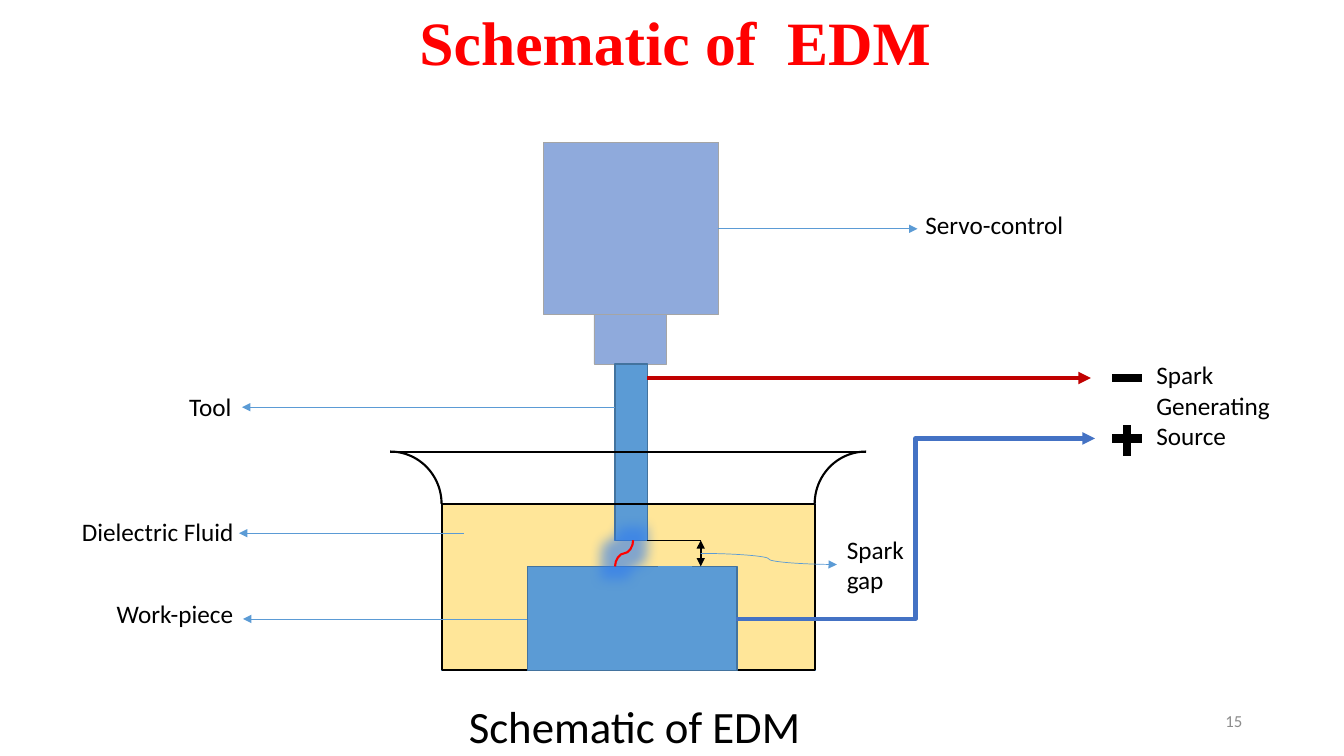
from dataclasses import dataclass

from lxml import etree
from pptx import Presentation
from pptx import util as u
from pptx.dml.color import RGBColor
from pptx.enum import shapes, text
from pptx.oxml import ns

KIND = shapes.MSO_SHAPE
LINK = shapes.MSO_CONNECTOR
ALIGN = text.PP_ALIGN


@dataclass(frozen=True)
class Theme:
    black: str = "000000"
    red: str = "FF0000"
    dark: str = "C00000"
    grey: str = "8C8C8C"
    edge: str = "A5A5A5"
    motor: str = "8FAADC"
    steel: str = "5B9BD5"
    rim: str = "43739E"
    fluid: str = "FFE699"
    wire: str = "4472C4"
    glow: str = "2F7BF0"
    sans: str = "Calibri"
    serif: str = "Times New Roman"
    head: int = 44
    foot: int = 32
    body: int = 18
    note: int = 12


T = Theme()


def rgb(code):
    return RGBColor.from_string(code)


def sub(node, tag, **attrs):
    return etree.SubElement(node, ns.qn(tag), **attrs)


def box(page, *at):
    return [u.Inches(v) for v in at]


def write(page, words, at, size=T.body, font=T.sans, color=T.black,
          bold=False, align=ALIGN.LEFT, mid=False, gap=None):
    """Add a text box at (left, top, width, height)."""
    frame = page.add_textbox(*box(page, *at)).text_frame
    frame.word_wrap = True
    if mid:
        frame.vertical_anchor = text.MSO_ANCHOR.MIDDLE
    para = frame.paragraphs[0]
    para.alignment = align
    if gap:
        para.line_spacing = gap
    run = para.add_run()
    run.text = words
    run.font.size, run.font.name, run.font.bold = u.Pt(size), font, bold
    run.font.color.rgb = rgb(color)


def block(page, at, fill, edge, width=1):
    item = page.add_shape(KIND.RECTANGLE, *box(page, *at))
    item.shadow.inherit = False
    item.fill.solid()
    item.fill.fore_color.rgb = rgb(fill)
    item.line.color.rgb = rgb(edge)
    item.line.width = u.Pt(width)


def lip(page, left, flip=False):
    """Add one curved lip of the tank."""
    item = page.add_shape(KIND.ARC, *box(page, left, 4.48, 1.02, 1.04))
    item.shadow.inherit = False
    item.fill.background()
    item.line.color.rgb = rgb(T.black)
    item.line.width = u.Pt(1.5)
    if flip:
        item._element.spPr.xfrm.set("flipH", "1")


def line(page, start, end, color=T.black, width=1.5, kind=LINK.STRAIGHT,
         head=False, tail=False, turn=0, glow=None):
    item = page.add_connector(kind, *box(page, *start, *end))
    item.line.color.rgb = rgb(color)
    item.line.width = u.Pt(width)
    prop = item._element.spPr
    stroke = prop.find(ns.qn("a:ln"))
    for tag, show in (("a:headEnd", head), ("a:tailEnd", tail)):
        if show:
            sub(stroke, tag, type="triangle")
    if turn:
        prop.xfrm.set("rot", str(turn * 60000))
    effect = sub(prop, "a:effectLst")
    if glow:
        halo = sub(effect, "a:glow", rad=str(u.Pt(18)))
        sub(sub(halo, "a:srgbClr", val=glow), "a:alpha", val="60000")


def main():
    deck = Presentation()
    deck.slide_width, deck.slide_height = u.Inches(13.33), u.Inches(7.5)
    page = deck.slides.add_slide(deck.slide_layouts[6]).shapes

    # Titles and page number
    write(page, "15", (9.42, 6.95, 3, 0.4), size=T.note, color=T.grey,
          align=ALIGN.RIGHT, mid=True)
    write(page, "Schematic of  EDM", (1.35, 0.07, 10.7, 0.84), size=T.head,
          font=T.serif, color=T.red, bold=True, align=ALIGN.CENTER, gap=0.9)
    write(page, "Schematic of EDM", (4.5, 6.88, 3.59, 0.64), size=T.foot,
          align=ALIGN.CENTER)

    # Fluid, servo, tool holder and tool
    block(page, (4.38, 5, 3.71, 1.65), T.fluid, T.rim)
    block(page, (5.39, 1.41, 1.74, 1.71), T.motor, T.edge, 0.5)
    block(page, (5.89, 3.12, 0.72, 0.49), T.motor, T.edge, 0.5)
    block(page, (6.1, 3.61, 0.32, 1.75), T.steel, T.rim)

    # Tank outline
    left, right, top, base = 4.38, 8.08, 5, 6.65
    lip(page, 3.36)
    lip(page, right, flip=True)
    line(page, (3.87, 4.48), (8.59, 4.48))
    for y in (top, base):
        line(page, (left, y), (right, y))
    for x in (left, right):
        line(page, (x, top), (x, base))

    # Work-piece and power leads
    block(page, (5.23, 5.62, 2.08, 1.03), T.steel, T.rim)
    line(page, (7.3, 6.14), (10.86, 4.35), T.wire, 3, LINK.ELBOW, tail=True)
    line(page, (6.42, 3.75), (10.82, 3.75), T.dark, 3, tail=True)

    # Minus and plus signs
    for y in (3.75, 4.35):
        line(page, (11.03, y), (11.33, y), width=6)
    line(page, (11.18, 4.52), (11.18, 4.22), width=6)

    # Label arrows
    for x, end, y in ((7.12, 9.1, 2.27), (6.1, 2.4, 4.04),
                      (5.23, 2.41, 6.14), (4.6, 2.37, 5.29)):
        line(page, (x, y), (end, y), T.steel, 0.5, tail=True)

    # Labels
    write(page, "Servo-control", (9.08, 2.03, 1.85, 0.42))
    for words, x, y in (("Tool", 1.16, 3.83), ("Dielectric Fluid", 0.64, 5.07),
                        ("Work-piece", 0.81, 5.89)):
        write(page, words, (x, y, 1.85, 0.42), align=ALIGN.CENTER)
    write(page, "Spark Generating Source", (11.37, 3.52, 1.53, 1.05))

    # Spark and its gap
    line(page, (6.06, 5.4), (6.32, 5.58), T.red, kind=LINK.CURVE, turn=90,
         glow=T.glow)
    line(page, (6.42, 5.36), (6.95, 5.36), width=0.5)
    line(page, (6.53, 5.62), (6.86, 5.62), T.steel, 0.5)
    line(page, (6.95, 5.36), (6.95, 5.62), head=True, tail=True)
    write(page, "Spark gap", (8.3, 5.25, 1.11, 0.71))
    line(page, (6.95, 5.49), (8.3, 5.6), T.steel, 0.5, LINK.CURVE, tail=True)

    deck.save("out.pptx")


if __name__ == "__main__":
    main()
